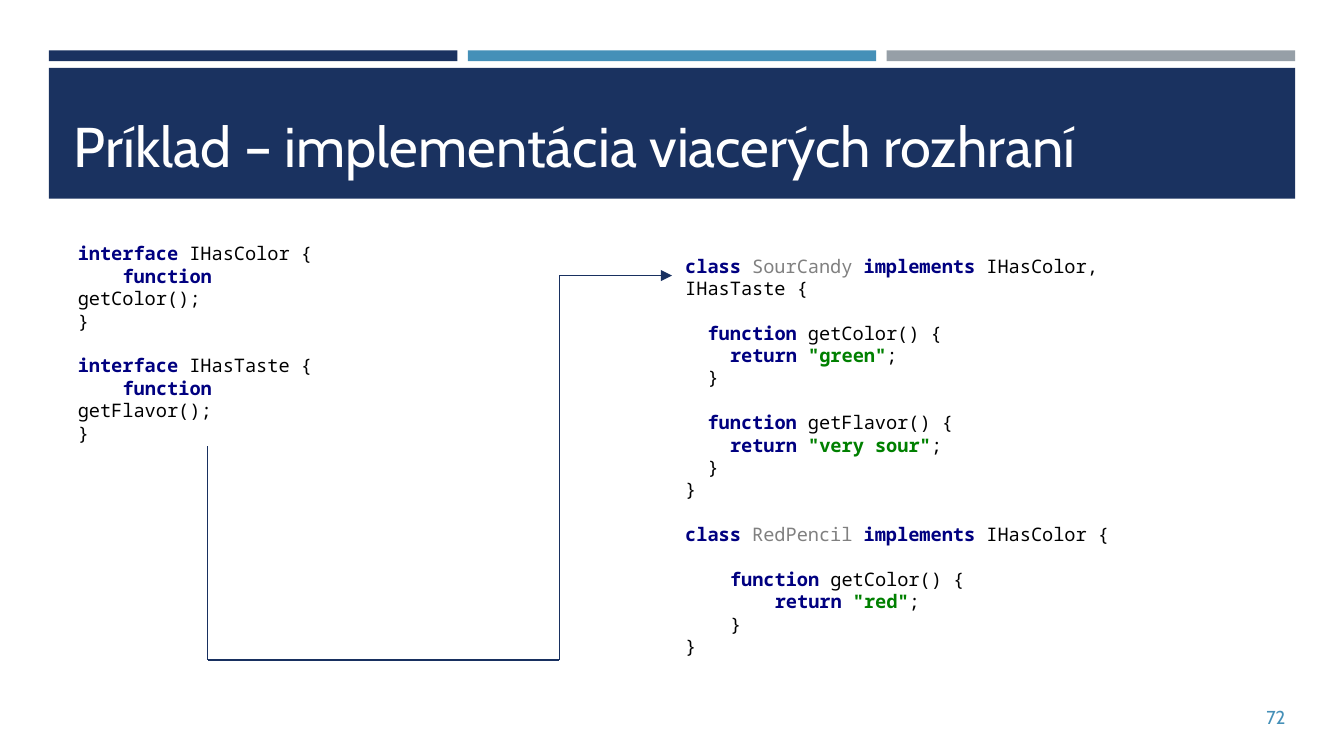
import pptx
import pptx.dml.color
import pptx.enum.shapes
import pptx.enum.text
import pptx.util
from dataclasses import dataclass
from itertools import pairwise
from lxml import etree
from pptx.oxml.ns import qn

Pt = pptx.util.Pt
ALIGN = pptx.enum.text.PP_ALIGN
ANCHOR = pptx.enum.text.MSO_ANCHOR


@dataclass(frozen=True)
class Theme:
    navy: str = "1A3260"
    blue: str = "4590B8"
    grey: str = "969FA7"
    white: str = "FFFFFF"
    arrow: str = "183060"
    code: str = "000000"
    keyword: str = "000080"
    class_name: str = "808080"
    string: str = "008000"
    heading_font: str = "Cabin"
    code_font: str = "Noto Sans Mono"
    title_size: int = 30
    code_size: int = 10
    number_size: int = 10
    code_line: int = 12
    code_char: int = 6


THEME = Theme()
KEYWORDS = {"interface", "function", "class", "implements", "return"}

INTERFACES = """interface IHasColor {
    function getColor();
}

interface IHasTaste {
    function getFlavor();
}"""

CLASSES = """class SourCandy implements IHasColor, IHasTaste {

  function getColor() {
    return "green";
  }

  function getFlavor() {
    return "very sour";
  }
}

class RedPencil implements IHasColor {

    function getColor() {
        return "red";
    }
}"""


def rgb(color):
    return pptx.dml.color.RGBColor.from_string(color)


def add_text(paragraph, text, *, font, size, color, bold=False, align=ALIGN.LEFT):
    paragraph.alignment = align
    run = paragraph.add_run()
    run.text = text
    run.font.name, run.font.size, run.font.bold = font, Pt(size), bold
    run.font.color.rgb = rgb(color)


def set_frame(frame, anchor, left, top, right, bottom):
    frame.word_wrap = True
    frame.auto_size = pptx.enum.text.MSO_AUTO_SIZE.NONE
    frame.vertical_anchor = anchor
    frame.margin_left, frame.margin_top = Pt(left), Pt(top)
    frame.margin_right, frame.margin_bottom = Pt(right), Pt(bottom)


def add_block(slide, box, color):
    block = slide.shapes.add_shape(
        pptx.enum.shapes.MSO_SHAPE.RECTANGLE, *map(Pt, box))
    block.shadow.inherit = False
    block.fill.solid()
    block.fill.fore_color.rgb = rgb(color)
    block.line.fill.background()
    return block


def add_header(slide, box, title):
    """Three coloured bars above a band that holds the title."""
    left, top, width, height = box
    gap, bar_height, band_top = 5.6, 5.8, 9.4
    bar_width = (width - 2 * gap) / 3
    for column, color in enumerate((THEME.navy, THEME.blue, THEME.grey)):
        add_block(slide, (left + column * (bar_width + gap), top, bar_width, bar_height), color)
    add_block(slide, (left, top + band_top, width, height - band_top), THEME.navy)

    heading = slide.shapes.title
    slide.shapes._spTree.append(heading._element)  # bring in front of the band
    heading.left, heading.top = Pt(left + 8.4), Pt(top + 14.6)
    heading.width, heading.height = Pt(width - 16.4), Pt(59.8)
    set_frame(heading.text_frame, ANCHOR.BOTTOM, 5, 5, 5, 5.6)
    paragraph = heading.text_frame.paragraphs[0]
    paragraph.line_spacing = 1.0
    add_text(paragraph, title, font=THEME.heading_font,
             size=THEME.title_size, color=THEME.white)


def highlight(line):
    """Yield the (text, colour, bold) pieces of one line of code."""
    previous = ""
    for position, part in enumerate(line.split('"')):
        if position % 2:
            yield f'"{part}"', THEME.string, True
            continue
        for piece in part.replace(" ", " \n").split("\n"):
            word = piece.strip()
            if word in KEYWORDS:
                yield piece, THEME.keyword, True
            elif piece:
                color = THEME.class_name if previous == "class" else THEME.code
                yield piece, color, False
            previous = word


def add_code(slide, box, source, bottom_inset):
    frame = add_block(slide, box, THEME.white).text_frame
    set_frame(frame, ANCHOR.MIDDLE, 7.2, 0, 7.2, bottom_inset)
    space_before = 0
    paragraph = frame.paragraphs[0]
    for number, line in enumerate(source.splitlines()):
        if not line:
            space_before = THEME.code_line
            continue
        if number:
            paragraph = frame.add_paragraph()
        paragraph.line_spacing = Pt(THEME.code_line)
        paragraph.space_before = Pt(space_before)
        space_before = 0
        code = line.lstrip()
        indent = (len(line) - len(code)) * THEME.code_char
        paragraph._p.get_or_add_pPr().set("indent", str(Pt(indent)))
        for text, color, bold in highlight(code):
            add_text(paragraph, text, font=THEME.code_font,
                     size=THEME.code_size, color=color, bold=bold)


def add_bent_arrow(slide, points):
    for start, end in pairwise(points):
        segment = slide.shapes.add_connector(
            pptx.enum.shapes.MSO_CONNECTOR.STRAIGHT, *map(Pt, (*start, *end)))
        segment.line.color.rgb = rgb(THEME.arrow)
        segment.line.width = Pt(0.75)
        etree.SubElement(segment._element.spPr, qn("a:effectLst"))
    etree.SubElement(segment.line._get_or_add_ln(), qn("a:tailEnd"), type="triangle")


def add_page_number(slide, box, number):
    frame = slide.shapes.add_textbox(*map(Pt, box)).text_frame
    set_frame(frame, ANCHOR.MIDDLE, 5, 3, 5, 3)
    add_text(frame.paragraphs[0], number, font=THEME.heading_font,
             size=THEME.number_size, color=THEME.blue, align=ALIGN.RIGHT)


def main():
    deck = pptx.Presentation()
    deck.slide_width, deck.slide_height = Pt(720), Pt(405)
    slide = deck.slides.add_slide(deck.slide_layouts.get_by_name("Title Only"))
    add_header(slide, (26.2, 27, 667.6, 79.4), "Príklad – implementácia viacerých rozhraní")
    add_page_number(slide, (669.2, 373.2, 24.5, 21.6), "72")
    add_code(slide, (34.6, 129, 153.4, 109.6), INTERFACES, bottom_inset=0)
    add_code(slide, (360, 137.5, 293.8, 234.7), CLASSES, bottom_inset=21.2)
    add_bent_arrow(slide, [(111.2, 239), (111.2, 353.6), (299.7, 353.6),
                           (299.7, 147.6), (360, 147.6)])
    deck.save("out.pptx")


if __name__ == "__main__":
    main()
